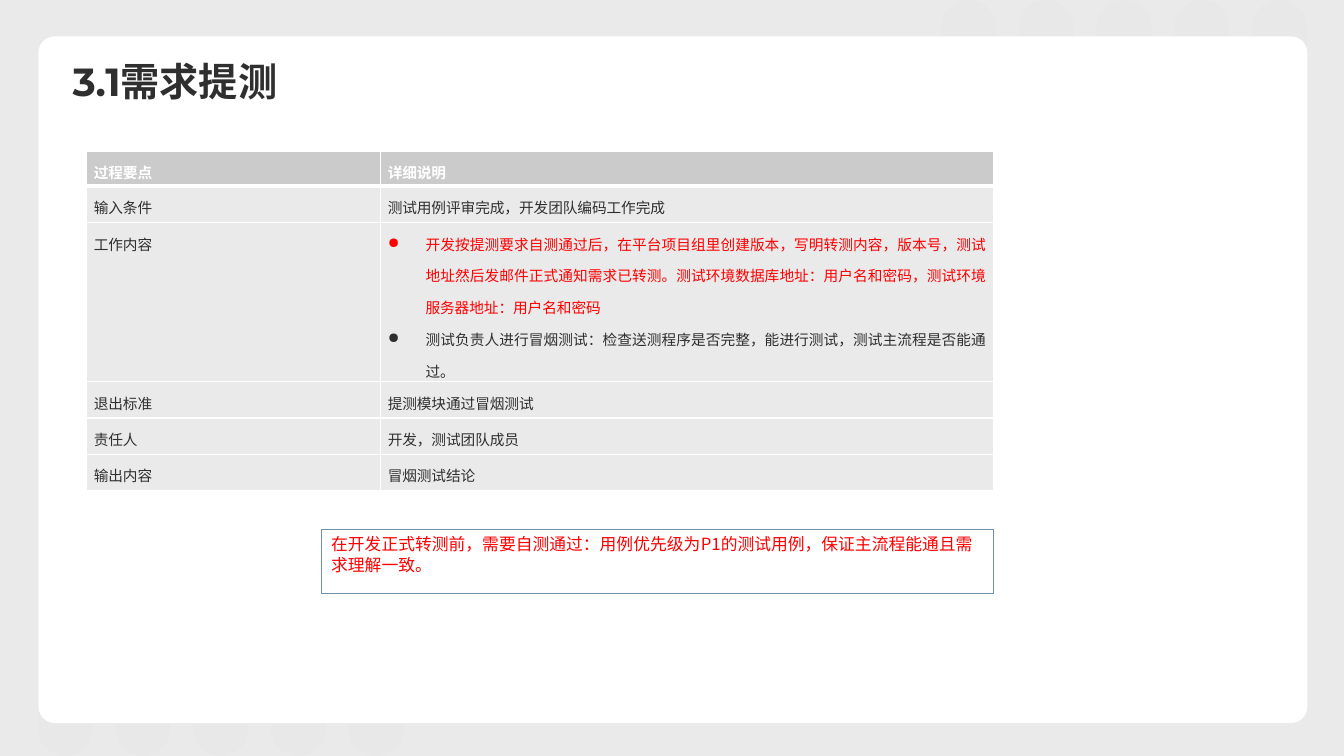
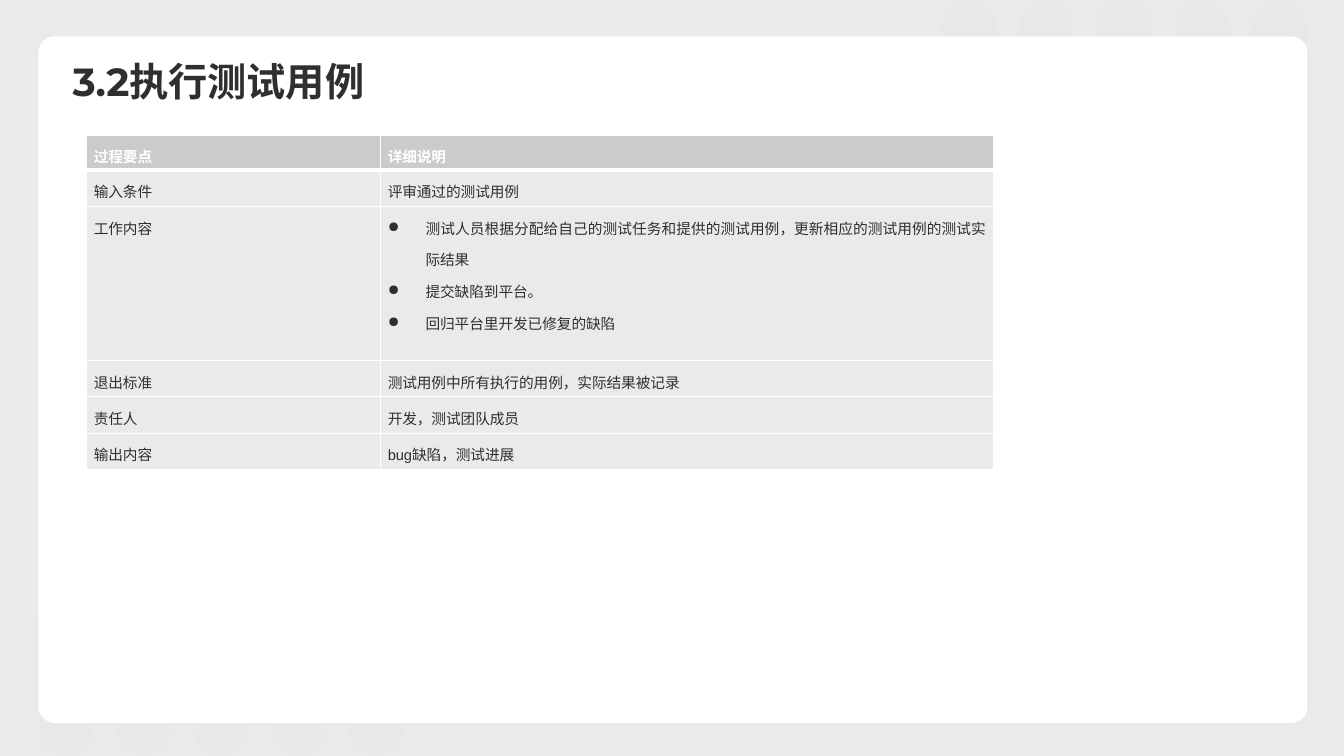
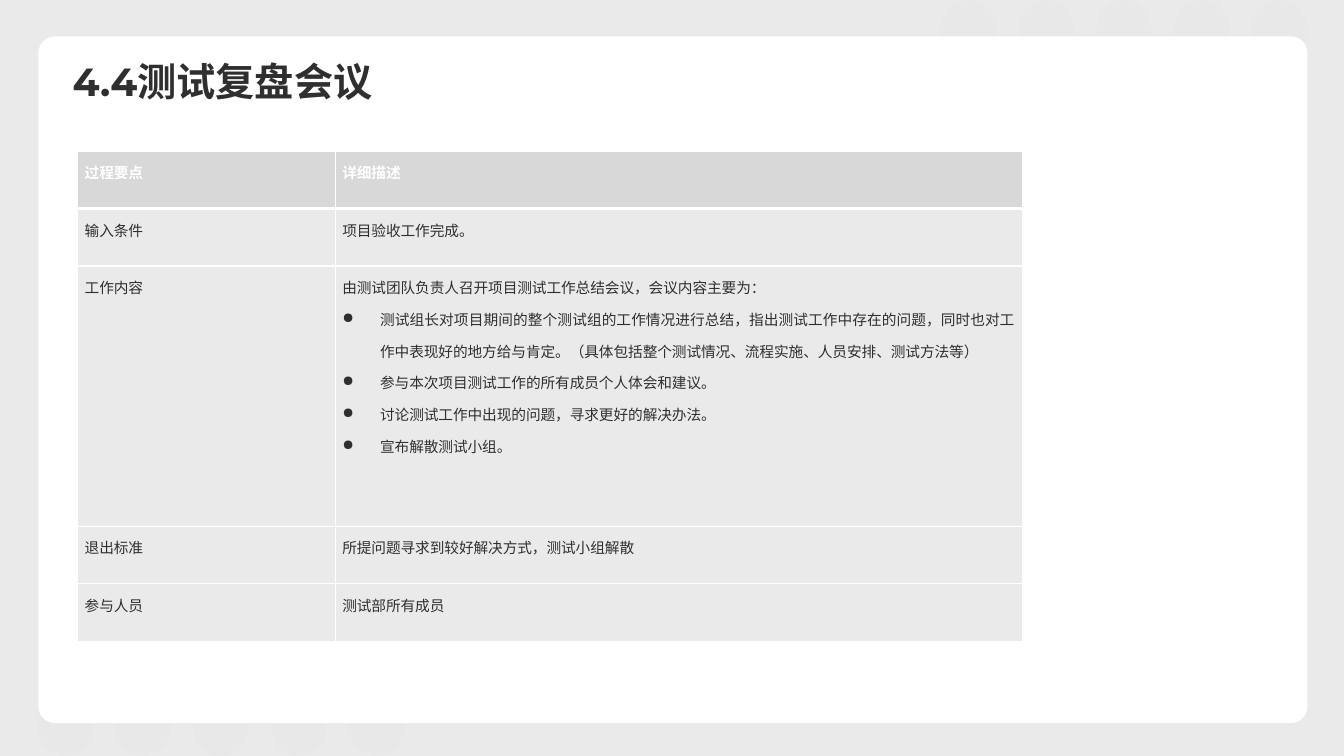
from dataclasses import dataclass

from lxml import etree
from pptx import Presentation
from pptx.dml.color import RGBColor
from pptx.enum.shapes import MSO_SHAPE
from pptx.enum.text import MSO_ANCHOR, MSO_AUTO_SIZE, PP_ALIGN
from pptx.oxml.ns import qn
from pptx.util import Pt

RECTANGLE = MSO_SHAPE.RECTANGLE
ROUNDED = MSO_SHAPE.ROUNDED_RECTANGLE
TOP, MIDDLE = MSO_ANCHOR.TOP, MSO_ANCHOR.MIDDLE
LEFT, JUSTIFY = PP_ALIGN.LEFT, PP_ALIGN.JUSTIFY
NO_AUTOFIT = MSO_AUTO_SIZE.NONE
TITLE_ONLY = 5


@dataclass(frozen=True)
class Theme:
    backdrop: str = "EAEAEA"
    pill: str = "D9D9D9"
    white: str = "FFFFFF"
    ink: str = "2F2F2F"
    red: str = "FF0000"
    header: str = "CBCBCB"
    light_header: str = "D8D8D8"
    outline: str = "6F91A9"
    title_font: str = "Montserrat"
    latin_font: str = "Arial"
    chinese_font: str = "Noto Sans CJK SC"
    title_size: float = 28
    note_size: float = 12
    table_size: float = 10.5
    rule: float = 1
    header_rule: float = 3


THEME = Theme()


@dataclass(frozen=True)
class Line:
    text: str
    bullet: bool = False
    color: str = THEME.ink


def rgb(color):
    return RGBColor.from_string(color)


def style_paragraph(paragraph, font_name, size, color, bold=False, alignment=LEFT, spacing=1.0):
    paragraph.alignment = alignment
    paragraph.line_spacing = spacing
    font = paragraph.font
    font.name, font.size, font.bold = font_name, Pt(size), bold
    font.color.rgb = rgb(color)
    defaults = paragraph._p.pPr.find(qn("a:defRPr"))
    etree.SubElement(defaults, qn("a:ea"), typeface=THEME.chinese_font)


def add_bullet(paragraph):
    properties = paragraph._p.pPr
    properties.set("marL", str(Pt(27)))
    properties.set("indent", str(Pt(-27)))
    bullet = etree.Element(qn("a:buChar"), char="●")
    properties.find(qn("a:defRPr")).addprevious(bullet)


def add_filled_shape(slide, kind, left, top, width, height, color):
    shape = slide.shapes.add_shape(kind, Pt(left), Pt(top), Pt(width), Pt(height))
    shape.shadow.inherit = False
    shape.fill.solid()
    shape.fill.fore_color.rgb = rgb(color)
    shape.line.fill.background()
    return shape


def add_pills(slide, left, top):
    pills = []
    for index in range(5):
        pill = add_filled_shape(slide, ROUNDED, left + 55.5 * index, top, 115, 39, THEME.pill)
        pill.rotation = 270
        pill.adjustments[0] = 0.5
        color = pill._element.spPr.find(qn("a:solidFill")).find(qn("a:srgbClr"))
        etree.SubElement(color, qn("a:alpha"), val="10000")
        pills.append(pill)
    return pills


def prepare_layout(layout, slide):
    layout.background.fill.solid()
    layout.background.fill.fore_color.rgb = rgb(THEME.backdrop)
    title, *others = layout.placeholders
    for placeholder in others:
        placeholder._element.getparent().remove(placeholder._element)
    title.left, title.top, title.width, title.height = Pt(44.6), Pt(41.8), Pt(281), Pt(36)

    panel = add_filled_shape(slide, ROUNDED, 27.4, 26, 906.5, 490.5, THEME.white)
    panel.adjustments[0] = 0.024
    decorations = add_pills(slide, -10.8, 463) + add_pills(slide, 634.5, 38) + [panel]
    for shape in decorations:
        title._element.addprevious(shape._element)


def set_title(slide, text):
    frame = slide.shapes.title.text_frame
    frame.text = text
    frame.auto_size = NO_AUTOFIT
    frame.vertical_anchor = MIDDLE
    style_paragraph(frame.paragraphs[0], THEME.title_font, THEME.title_size, THEME.ink,
                    bold=True, spacing=0.9)


def set_borders(cell, top, bottom):
    properties = cell._tc.get_or_add_tcPr()
    widths = {"a:lnL": THEME.rule, "a:lnR": THEME.rule, "a:lnT": top, "a:lnB": bottom}
    for position, (tag, width) in enumerate(widths.items()):
        line = etree.Element(qn(tag), w=str(Pt(width)))
        fill = etree.SubElement(line, qn("a:solidFill"))
        etree.SubElement(fill, qn("a:srgbClr"), val=THEME.white)
        properties.insert(position, line)


def fill_cell(cell, lines, font_name, background, bold=False):
    cell.margin_left = cell.margin_right = Pt(5)
    cell.margin_top = cell.margin_bottom = Pt(0)
    cell.vertical_anchor = TOP
    cell.fill.solid()
    cell.fill.fore_color.rgb = rgb(background)
    frame = cell.text_frame
    frame.text = "\n".join(line.text for line in lines)
    for paragraph, line in zip(frame.paragraphs, lines):
        style_paragraph(paragraph, font_name, THEME.table_size, line.color, bold, JUSTIFY, 1.5)
        if line.bullet:
            add_bullet(paragraph)


def add_process_table(slide, left, top, widths, heights, headings, rows,
                      header_color=THEME.header, detail_font=THEME.latin_font):
    frame = slide.shapes.add_table(len(heights), len(widths), Pt(left), Pt(top),
                                   Pt(sum(widths)), Pt(sum(heights)))
    table = frame.table
    table.first_row = table.horz_banding = False
    for column, width in zip(table.columns, widths):
        column.width = Pt(width)
    for row, height in zip(table.rows, heights):
        row.height = Pt(height)

    for column, heading in enumerate(headings):
        cell = table.cell(0, column)
        fill_cell(cell, [Line(heading, color=THEME.white)], THEME.chinese_font, header_color, True)
        set_borders(cell, THEME.rule, THEME.header_rule)
    for number, (label, details) in enumerate(rows, start=1):
        top_rule = THEME.header_rule if number == 1 else THEME.rule
        contents = (([Line(label)], THEME.chinese_font), (details, detail_font))
        for column, (lines, font_name) in enumerate(contents):
            cell = table.cell(number, column)
            fill_cell(cell, lines, font_name, THEME.backdrop)
            set_borders(cell, top_rule, THEME.rule)


def add_note(slide, text, left, top, width, height):
    note = add_filled_shape(slide, RECTANGLE, left, top, width, height, THEME.white)
    note.line.color.rgb = rgb(THEME.outline)
    note.line.width = Pt(THEME.rule)
    frame = note.text_frame
    frame.word_wrap = True
    frame.vertical_anchor = TOP
    frame.text = text
    style_paragraph(frame.paragraphs[0], THEME.chinese_font, THEME.note_size, THEME.red)


def build_submission(slide):
    set_title(slide, "3.1需求提测")
    add_process_table(
        slide, 62, 108, [210, 438], [25, 26, 110, 26, 26, 26], ["过程要点", "详细说明"],
        [
            ("输入条件", [Line("测试用例评审完成，开发团队编码工作完成")]),
            ("工作内容", [
                Line("开发按提测要求自测通过后，在平台项目组里创建版本，写明转测内容，版本号，"
                     "测试地址然后发邮件正式通知需求已转测。测试环境数据库地址：用户名和密码，"
                     "测试环境服务器地址：用户名和密码", True, THEME.red),
                Line("测试负责人进行冒烟测试：检查送测程序是否完整，能进行测试，"
                     "测试主流程是否能通过。", True),
            ]),
            ("退出标准", [Line("提测模块通过冒烟测试")]),
            ("责任人", [Line("开发，测试团队成员")]),
            ("输出内容", [Line("冒烟测试结论")]),
        ])
    add_note(slide, "在开发正式转测前，需要自测通过：用例优先级为P1的测试用例，"
                    "保证主流程能通且需求理解一致。", 229.5, 378, 480, 46)


def build_execution(slide):
    set_title(slide, "3.2执行测试用例")
    add_process_table(
        slide, 62, 96.5, [210, 438], [25, 26, 110, 26, 26, 26], ["过程要点", "详细说明"],
        [
            ("输入条件", [Line("评审通过的测试用例")]),
            ("工作内容", [
                Line("测试人员根据分配给自己的测试任务和提供的测试用例，"
                     "更新相应的测试用例的测试实际结果", True),
                Line("提交缺陷到平台。", True),
                Line("回归平台里开发已修复的缺陷", True),
            ]),
            ("退出标准", [Line("测试用例中所有执行的用例，实际结果被记录")]),
            ("责任人", [Line("开发，测试团队成员")]),
            ("输出内容", [Line("bug缺陷，测试进展")]),
        ])


def build_review(slide):
    set_title(slide, "4.4测试复盘会议")
    add_process_table(
        slide, 55.5, 108, [184, 491], [41, 41, 186, 41, 41], ["过程要点", "详细描述"],
        [
            ("输入条件", [Line("项目验收工作完成。")]),
            ("工作内容", [
                Line("由测试团队负责人召开项目测试工作总结会议，会议内容主要为："),
                Line("测试组长对项目期间的整个测试组的工作情况进行总结，指出测试工作中存在的问题，"
                     "同时也对工作中表现好的地方给与肯定。"
                     "（具体包括整个测试情况、流程实施、人员安排、测试方法等）", True),
                Line("参与本次项目测试工作的所有成员个人体会和建议。", True),
                Line("讨论测试工作中出现的问题，寻求更好的解决办法。", True),
                Line("宣布解散测试小组。", True),
            ]),
            ("退出标准", [Line("所提问题寻求到较好解决方式，测试小组解散")]),
            ("参与人员", [Line("测试部所有成员")]),
        ],
        header_color=THEME.light_header, detail_font=THEME.chinese_font)


def main():
    presentation = Presentation()
    presentation.slide_width, presentation.slide_height = Pt(960), Pt(540)
    layout = presentation.slide_layouts[TITLE_ONLY]
    builders = (build_submission, build_execution, build_review)
    slides = [presentation.slides.add_slide(layout) for _ in builders]
    prepare_layout(layout, slides[0])
    for build, slide in zip(builders, slides):
        build(slide)
    presentation.save("out.pptx")


if __name__ == "__main__":
    main()
